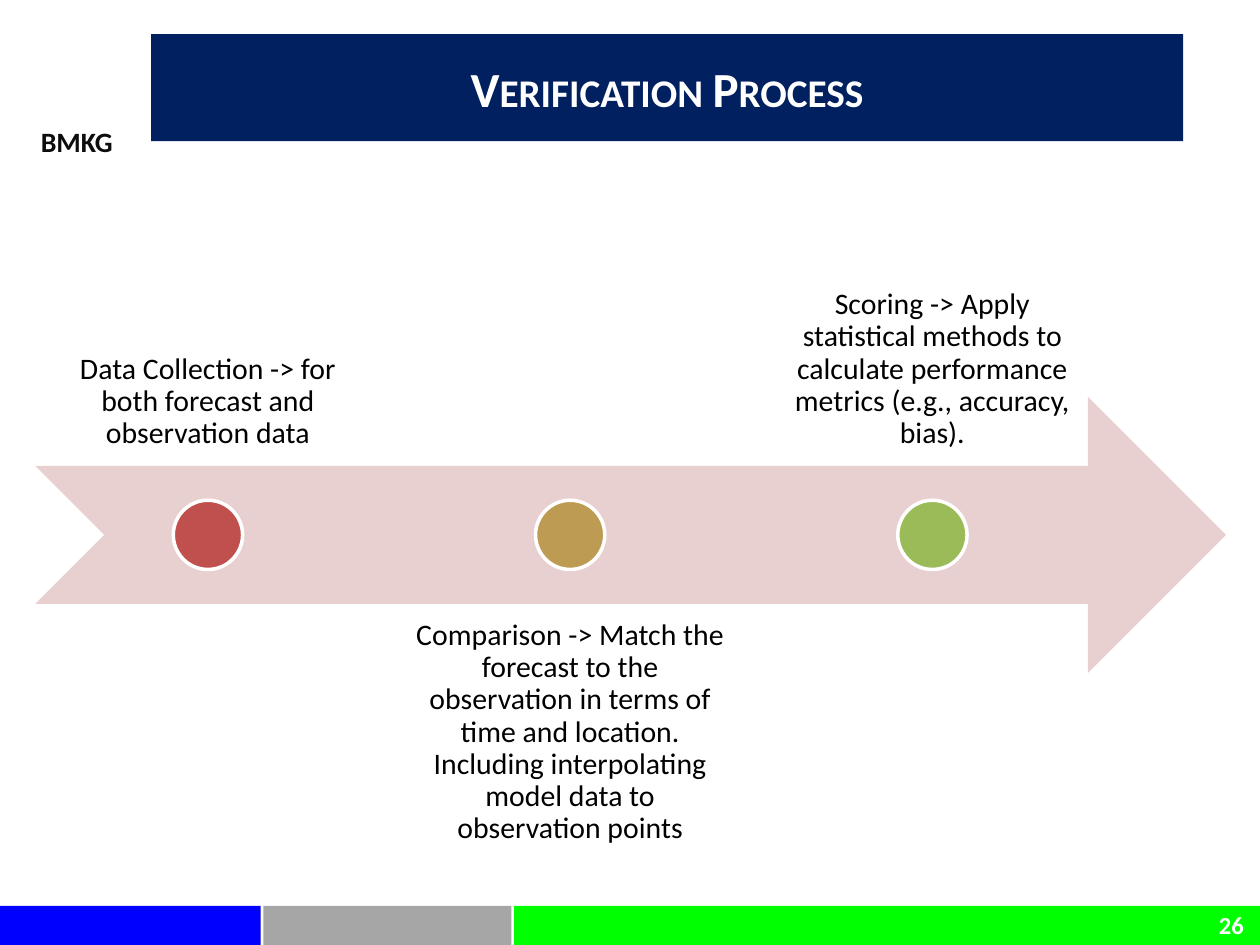
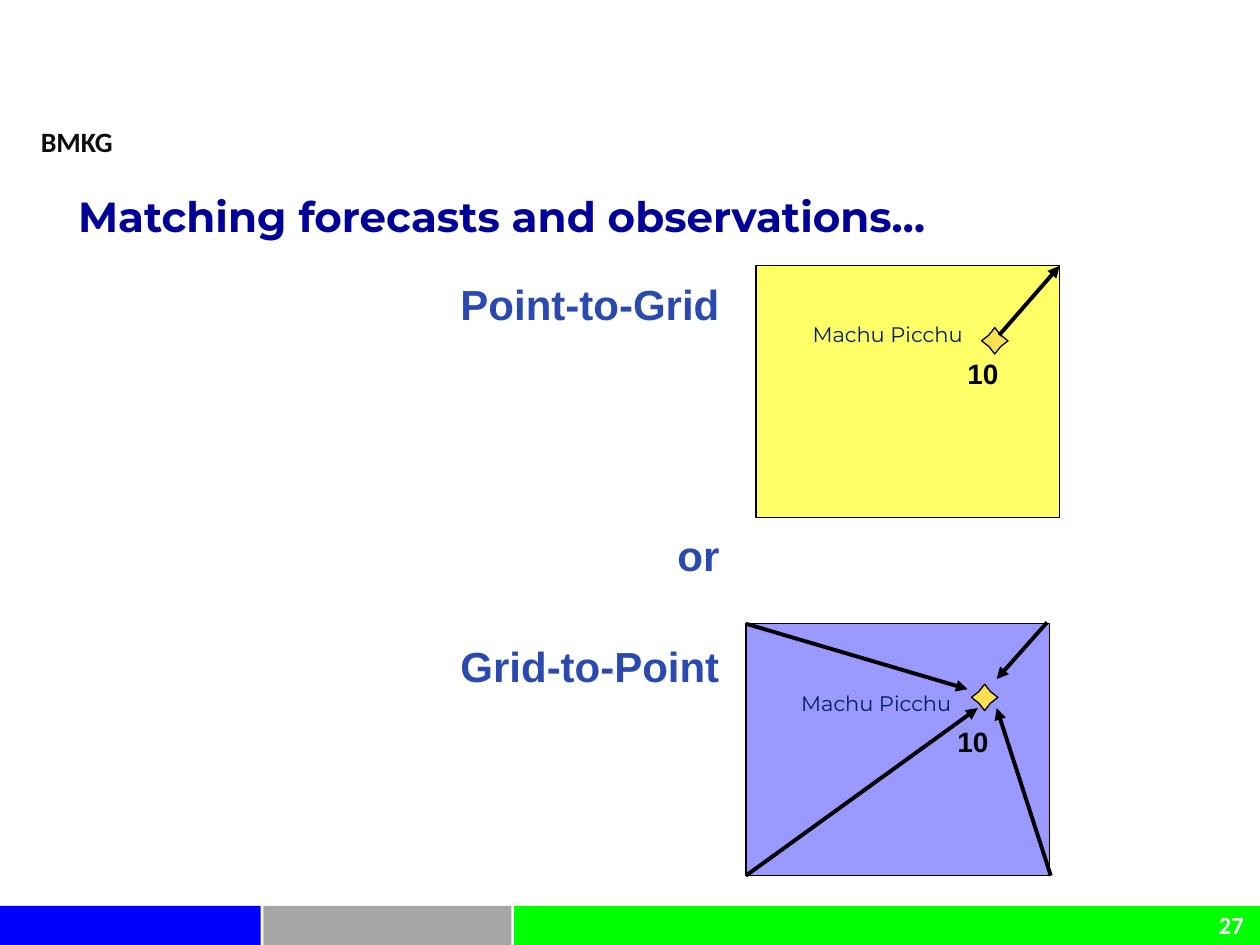
from lxml import etree
from pptx import Presentation
from pptx.dml.color import RGBColor
from pptx.enum.shapes import MSO_CONNECTOR, MSO_SHAPE
from pptx.enum.text import MSO_ANCHOR, MSO_AUTO_SIZE, PP_ALIGN
from pptx.oxml.ns import qn
from pptx.util import Inches, Pt

RECTANGLE, ELLIPSE = MSO_SHAPE.RECTANGLE, MSO_SHAPE.OVAL
STAR, NOTCHED_ARROW = MSO_SHAPE.STAR_4_POINT, MSO_SHAPE.NOTCHED_RIGHT_ARROW
LEFT, CENTER, RIGHT = PP_ALIGN.LEFT, PP_ALIGN.CENTER, PP_ALIGN.RIGHT
TOP, MIDDLE, BOTTOM = MSO_ANCHOR.TOP, MSO_ANCHOR.MIDDLE, MSO_ANCHOR.BOTTOM
STRAIGHT, NO_FIT = MSO_CONNECTOR.STRAIGHT, MSO_AUTO_SIZE.NONE

BLACK, WHITE, NAVY, STAR_GOLD = "000000", "FFFFFF", "002060", "FBDF53"
TEXT_INSETS = (0.1, 0.05, 0.1, 0.05)
NO_INSETS = (0, 0, 0, 0)

# Shared by both slides
FOOTER_BANDS = [(0, 2.07, "0000FF"), (2.09, 1.97, "A6A6A6"), (4.08, 5.92, "00FF00")]
FOOTER_TOP, FOOTER_HEIGHT = 7.19, 0.31
AGENCY = "BMKG"
AGENCY_FONT = {"name": "Calibri", "size": 16, "bold": True, "color": "0D0D0D"}
NUMBER_FONT = {"name": "Calibri", "size": 14, "bold": True, "color": WHITE}

# Verification process
PROCESS_TITLE = "Verification Process"
PROCESS_TITLE_FONT = {"name": "Calibri", "size": 28, "bold": True, "color": WHITE}
STEP_FONT = {"name": "Calibri", "size": 17, "bold": False, "color": BLACK}
STEPS = [
    ("Data Collection -> for both forecast and observation data", "C0504D"),
    ("Comparison -> Match the forecast to the observation in terms of time and "
     "location. Including interpolating model data to observation points", "BD9B53"),
    ("Scoring -> Apply statistical methods to calculate performance metrics "
     "(e.g., accuracy, bias).", "9BBB59"),
]
ARROW_BOX = (0.28, 3.15, 9.45, 2.19)
STEP_WIDTH, STEP_PITCH, DOT_SIZE = 2.74, 2.875, 0.55

# Matching forecasts and observations
MATCHING_TITLE = "Matching forecasts and observations…"
MATCHING_TITLE_FONT = {"name": "Montserrat", "size": 24, "bold": True, "color": "000099"}
METHODS = [("Point-to-Grid", 0), ("or", 114.7), ("Grid-to-Point", 34.7)]
METHOD_FONT = {"name": "Arial", "size": 24, "bold": True, "color": "2A4AB2"}
PLACE, PLACE_FONT = "Machu Picchu", {"name": "Montserrat", "size": 12, "bold": False,
                                     "color": NAVY}
VALUE, VALUE_FONT = "10", {"name": "Arial", "size": 16, "bold": True, "color": BLACK}
CELL_WIDTH, CELL_HEIGHT, STAR_SIZE = 2.41, 2, 0.21
GRID_CELLS = [
    {"cell": (6, 2.11), "fill": "FFFF66", "star": (7.79, 2.6),
     "value": (7.58, 2.78), "place": (6.35, 2.5),
     "arrows": [((7.93, 2.66), (8.41, 2.11))]},
    {"cell": (5.92, 4.95), "fill": "9999FF", "star": (7.71, 5.43),
     "value": (7.5, 5.7), "place": (6.26, 5.43),
     "arrows": [((8.31, 4.94), (7.91, 5.39)), ((8.34, 6.95), (7.91, 5.62)),
                ((5.92, 6.95), (7.76, 5.62)), ((5.92, 4.95), (7.68, 5.47))]},
]


def rgb(color):
    return RGBColor.from_string(color)


def place(shape, box):
    for name, value in zip(("left", "top", "width", "height"), box):
        setattr(shape, name, Inches(value))


def format_frame(frame, insets=TEXT_INSETS, anchor=TOP, wrap=True):
    sides = ("margin_left", "margin_top", "margin_right", "margin_bottom")
    values = dict(zip(sides, map(Inches, insets)))
    values.update(vertical_anchor=anchor, word_wrap=wrap, auto_size=NO_FIT)
    for name, value in values.items():
        setattr(frame, name, value)


def write(para, text, font, align=LEFT, spacing=1.0, before=0):
    values = {"alignment": align, "line_spacing": spacing,
              "space_before": Pt(before), "space_after": Pt(0)}
    for name, value in values.items():
        setattr(para, name, value)
    span = para.add_run()
    span.text = text
    for name in ("name", "bold"):
        setattr(span.font, name, font[name])
    span.font.size = Pt(font["size"])
    span.font.color.rgb = rgb(font["color"])
    return span


def add_text(page, box, text, font, align=LEFT, spacing=1.0, **frame_format):
    label = page.shapes.add_textbox(*map(Inches, box))
    format_frame(label.text_frame, **frame_format)
    write(label.text_frame.paragraphs[0], text, font, align, spacing)


def add_figure(page, kind, box, fill, line=None, line_width=0.75):
    figure = page.shapes.add_shape(kind, *map(Inches, box))
    figure.shadow.inherit = False
    figure.fill.solid()
    figure.fill.fore_color.rgb = rgb(fill)
    if line:
        figure.line.color.rgb = rgb(line)
        figure.line.width = Pt(line_width)
    else:
        figure.line.fill.background()
    return figure


def add_arrow(page, start, end):
    arrow = page.shapes.add_connector(STRAIGHT, *map(Inches, start + end))
    arrow.line.color.rgb = rgb(BLACK)
    arrow.line.width = Pt(2.25)
    etree.SubElement(arrow.line._get_or_add_ln(), qn("a:tailEnd"), type="triangle")
    etree.SubElement(arrow._element.spPr, qn("a:effectLst"))


def set_title(page, box, text, font, align, insets):
    title = page.shapes.title
    place(title, box)
    format_frame(title.text_frame, insets, MIDDLE)
    return title, write(title.text_frame.paragraphs[0], text, font, align)


def add_page(deck, layout, number):
    """Add a slide with the footer bands, slide number and agency name."""
    page = deck.slides.add_slide(deck.slide_layouts[layout])
    for left, width, color in FOOTER_BANDS:
        add_figure(page, RECTANGLE, (left, FOOTER_TOP, width, FOOTER_HEIGHT), color)
    add_text(page, (7.44, 7.17, 2.53, 0.35), str(number), NUMBER_FONT, RIGHT)
    add_text(page, (0.08, 0.94, 1.06, 0.37), AGENCY, AGENCY_FONT, CENTER)
    return page


def build_process(deck):
    page = add_page(deck, 5, 26)
    title, span = set_title(page, (1.2, 0.27, 8.19, 0.85), PROCESS_TITLE,
                            PROCESS_TITLE_FONT, CENTER, TEXT_INSETS)
    title.fill.solid()
    title.fill.fore_color.rgb = rgb(NAVY)
    span.font._element.set("cap", "small")

    add_figure(page, NOTCHED_ARROW, ARROW_BOX, "E8D0D0")
    arrow_left, arrow_top, _, arrow_height = ARROW_BOX
    dot_top = arrow_top + (arrow_height - DOT_SIZE) / 2
    for index, (text, color) in enumerate(STEPS):
        left = arrow_left + index * STEP_PITCH
        above = index % 2 == 0
        add_text(page, (left, 1.51 if above else 4.79, STEP_WIDTH, 2.19), text,
                 STEP_FONT, CENTER, 0.9, insets=(0.13,) * 4,
                 anchor=BOTTOM if above else TOP)
        dot_left = left + (STEP_WIDTH - DOT_SIZE) / 2
        add_figure(page, ELLIPSE, (dot_left, dot_top, DOT_SIZE, DOT_SIZE), color, WHITE, 2)


def build_matching(deck):
    page = add_page(deck, 1, 27)
    set_title(page, (0.62, 1.31, 6.97, 0.8), MATCHING_TITLE, MATCHING_TITLE_FONT,
              LEFT, NO_INSETS)
    body = page.placeholders[1]
    place(body, (2.8, 2.21, 2.91, 4.88))
    format_frame(body.text_frame, NO_INSETS)
    for index, (text, before) in enumerate(METHODS):
        para = body.text_frame.add_paragraph() if index else body.text_frame.paragraphs[0]
        properties = para._p.get_or_add_pPr()
        properties.set("marL", "0")
        properties.set("indent", "0")
        etree.SubElement(properties, qn("a:buNone"))
        write(para, text, METHOD_FONT, RIGHT, before=before)

    for grid in GRID_CELLS:
        add_figure(page, RECTANGLE, grid["cell"] + (CELL_WIDTH, CELL_HEIGHT),
                   grid["fill"], BLACK)
        star = add_figure(page, STAR, grid["star"] + (STAR_SIZE, STAR_SIZE),
                          STAR_GOLD, BLACK)
        star.adjustments[0] = 0.31
        for start, end in grid["arrows"]:
            add_arrow(page, start, end)
        add_text(page, grid["value"] + (0.58, 0.37), VALUE, VALUE_FONT)
        add_text(page, grid["place"] + (1.48, 0.3), PLACE, PLACE_FONT, wrap=False)


def main():
    deck = Presentation()
    deck.slide_width, deck.slide_height = Inches(10), Inches(7.5)
    build_process(deck)
    build_matching(deck)
    deck.save("out.pptx")


if __name__ == "__main__":
    main()
